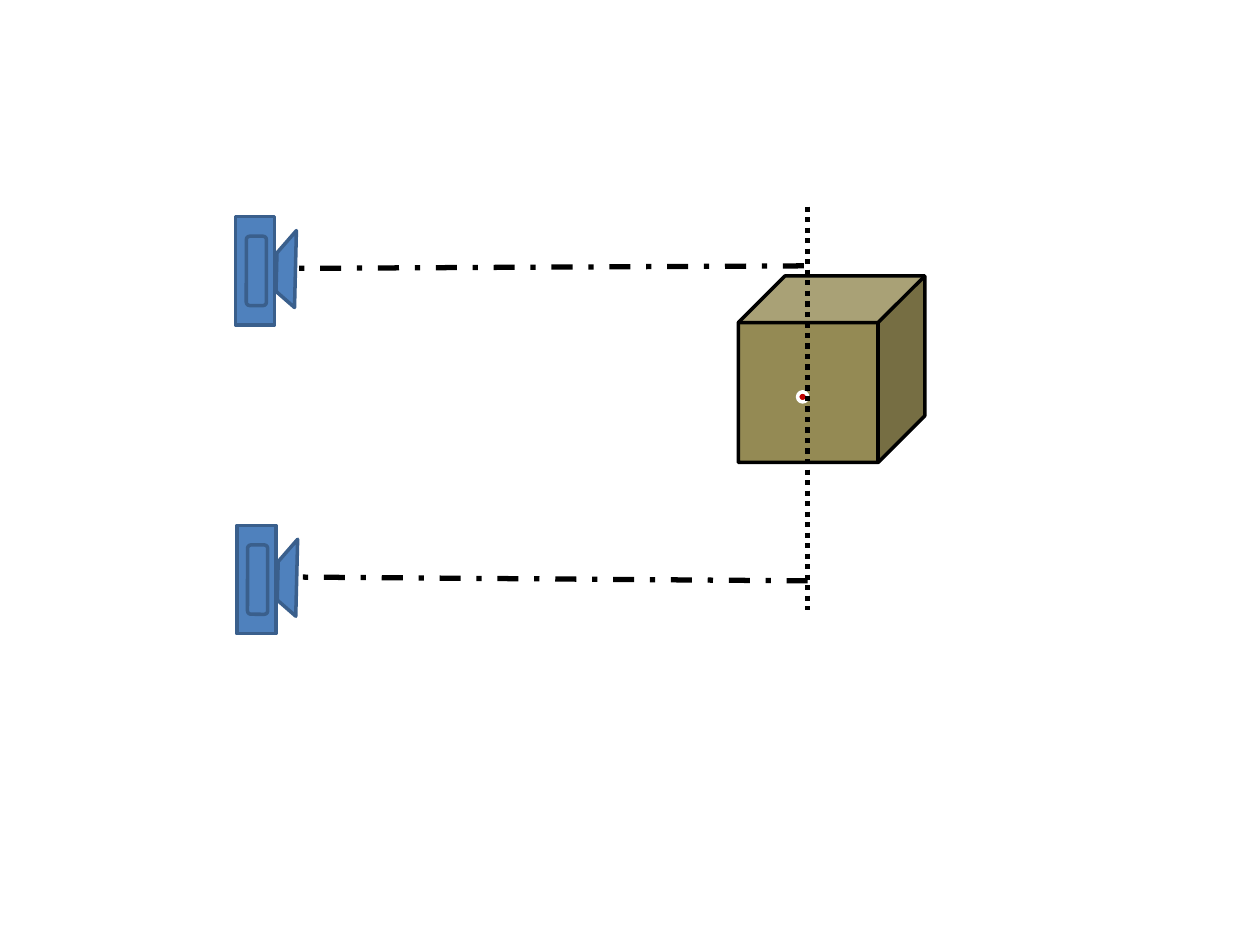
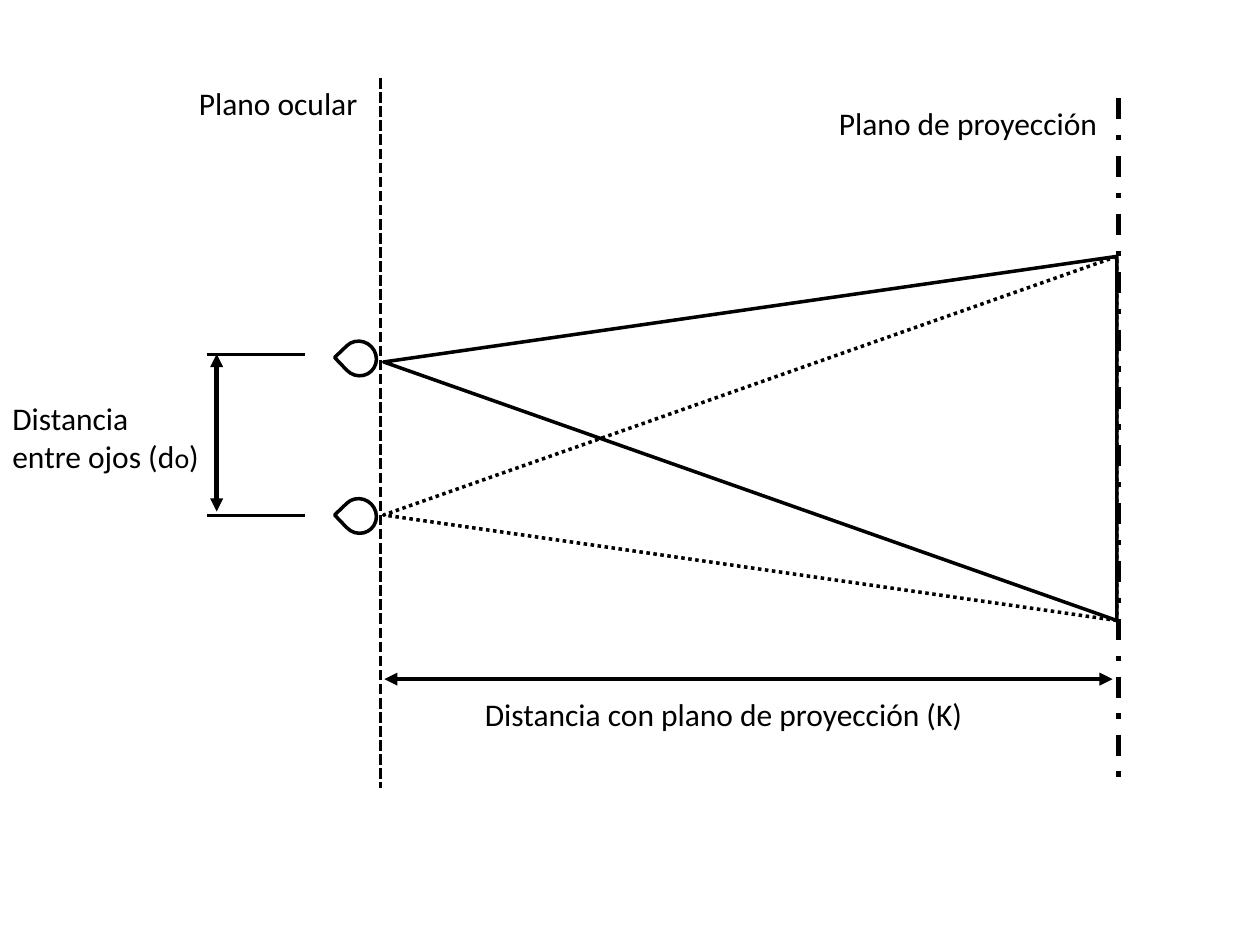
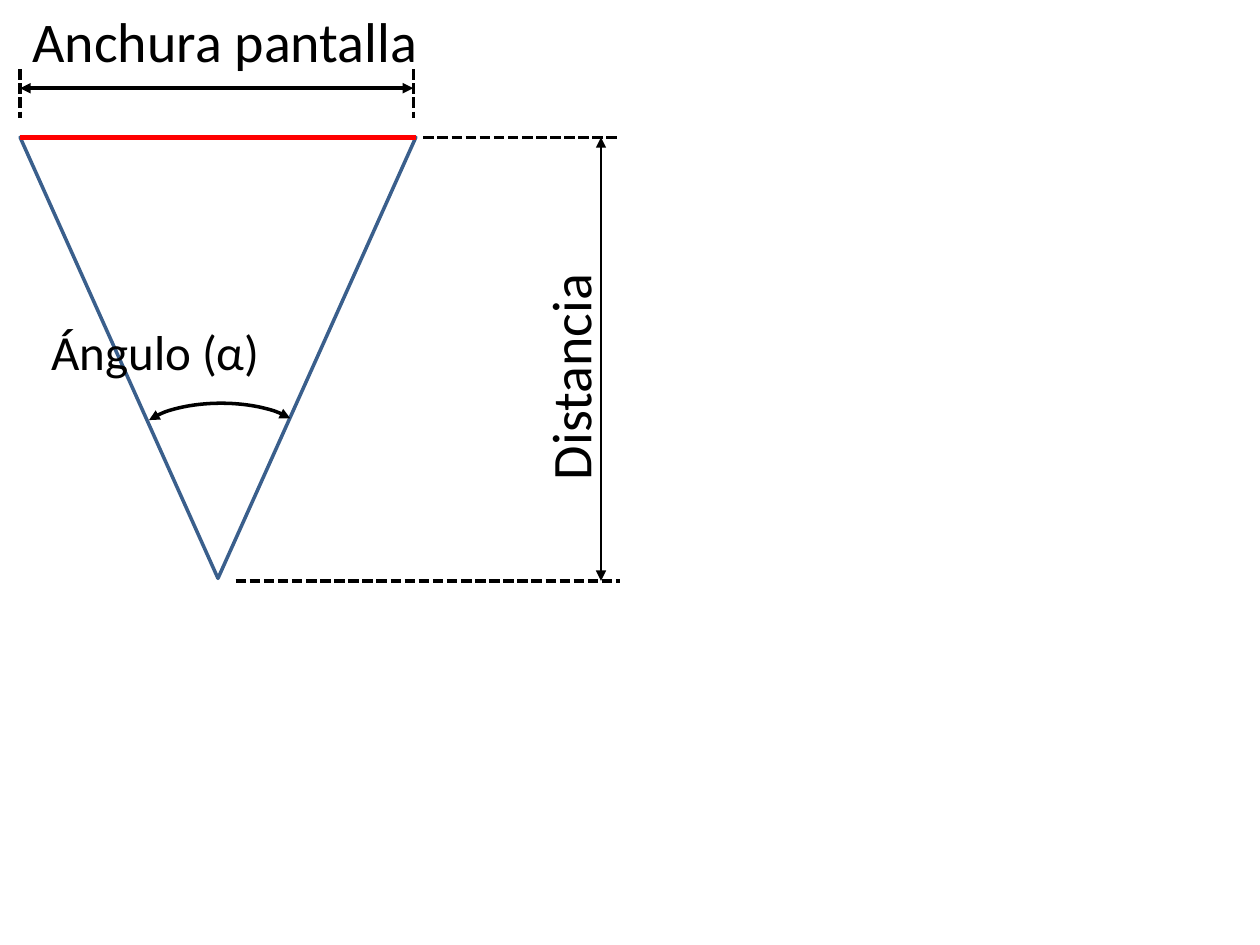
from pptx import Presentation
from pptx.dml.color import RGBColor
from pptx.enum.dml import MSO_LINE
from pptx.enum.shapes import MSO_CONNECTOR, MSO_SHAPE
from pptx.enum.text import MSO_AUTO_SIZE
from pptx.oxml.ns import qn
from pptx.util import Inches, Pt
from lxml.etree import SubElement

BLACK, WHITE, RED = "000000", "FFFFFF", "FF0000"
BLUE, NAVY, TAN, DARK = "4F81BD", "3A5F8C", "948A54", "C00000"
DOTS, DASH, MIX = MSO_LINE.ROUND_DOT, MSO_LINE.SQUARE_DOT, MSO_LINE.DASH_DOT


def paint(item, color=BLACK, width=2, dash=None, arrows=False, fill=None):
    item.line.color.rgb = RGBColor.from_string(color)
    item.line.width = Pt(width)
    if dash:
        item.line.dash_style = dash
    if arrows:
        for end in ("a:headEnd", "a:tailEnd"):
            SubElement(item.line._get_or_add_ln(), qn(end), type="triangle")
    if fill:
        item.fill.solid()
        item.fill.fore_color.rgb = RGBColor.from_string(fill)
    elif hasattr(item, "fill"):
        item.fill.background()
    SubElement(item._element.spPr, qn("a:effectLst"))


def form(slide, kind, x, y, w, h, turn=0, **look):
    item = slide.shapes.add_shape(kind, Inches(x), Inches(y), Inches(w), Inches(h))
    item.rotation = turn
    paint(item, **look)
    return item


deck = Presentation()
deck.slide_width, deck.slide_height = Inches(10), Inches(7.5)
scene, plan, angle = [deck.slides.add_slide(deck.slide_layouts[6]) for _ in range(3)]

# Slide 1: two cameras facing a cube
for x, y in ((1.87, 1.72), (1.88, 4.17)):
    for kind, dx, dy, w, h, turn in (
        (MSO_SHAPE.RECTANGLE, 0, 0, 0.31, 0.86, 0),
        (MSO_SHAPE.DIAGONAL_STRIPE, 0.24, 0.22, 0.47, 0.39, 311.1),
        (MSO_SHAPE.ROUNDED_RECTANGLE, -0.11, 0.35, 0.55, 0.16, 270),
    ):
        form(scene, kind, x + dx, y + dy, w, h, turn, color=NAVY, fill=BLUE)
form(scene, MSO_SHAPE.CUBE, 5.86, 2.19, 1.48, 1.48, fill=TAN)
form(scene, MSO_SHAPE.OVAL, 6.33, 3.11, 0.08, 0.08, color=WHITE, fill=DARK)

# Slide 2: view triangles and eyes
for skew, dash in ((0.71, None), (0.29, DOTS)):
    cone = form(plan, MSO_SHAPE.ISOSCELES_TRIANGLE, 4.51, 0.57, 2.89, 5.82, 270, dash=dash)
    cone.adjustments[0] = skew
for y in (2.71, 3.96):
    form(plan, MSO_SHAPE.TEAR, 2.71, y, 0.28, 0.27, 226.2, fill=WHITE)

# Slide 3: screen triangle and angle arc
form(angle, MSO_SHAPE.ISOSCELES_TRIANGLE, 0.16, 1.09, 3.14, 3.5, 180, color=NAVY)
arc = form(angle, MSO_SHAPE.ARC, 1.09, 3.2, 1.33, 0.55, arrows=True)
arc.adjustments[0], arc.adjustments[1] = 116.302, 206.527

# Lines: slide, start, end, colour, width, dash, arrows
for slide, x1, y1, x2, y2, color, width, dash, arrows in (
    (scene, 6.41, 4.61, 2.36, 4.58, BLACK, 3, MIX, False),
    (scene, 6.38, 2.11, 2.35, 2.13, BLACK, 3, MIX, False),
    (scene, 6.41, 1.64, 6.41, 4.84, BLACK, 3, DOTS, False),
    (plan, 8.88, 0.78, 8.88, 6.25, BLACK, 3, MIX, False),
    (plan, 3.02, 0.62, 3.02, 6.25, BLACK, 2, DASH, False),
    (plan, 2.42, 2.81, 1.64, 2.81, BLACK, 1.75, None, False),
    (plan, 2.42, 4.09, 1.64, 4.09, BLACK, 1.75, None, False),
    (plan, 1.72, 2.81, 1.72, 4.06, BLACK, 2.5, None, True),
    (plan, 8.83, 5.39, 3.05, 5.39, BLACK, 2.5, None, True),
    (angle, 0.16, 1.09, 3.3, 1.09, RED, 3, None, False),
    (angle, 3.36, 1.09, 4.92, 1.09, BLACK, 2, DASH, False),
    (angle, 1.87, 4.61, 4.92, 4.61, BLACK, 2, DASH, False),
    (angle, 4.77, 1.09, 4.77, 4.61, BLACK, 0.75, None, True),
    (angle, 0.16, 0.55, 0.16, 0.94, BLACK, 2, DASH, False),
    (angle, 3.28, 0.55, 3.28, 0.94, BLACK, 2, DASH, False),
    (angle, 0.16, 0.7, 3.28, 0.7, BLACK, 2, None, True),
):
    ends = [Inches(n) for n in (x1, y1, x2, y2)]
    rule = slide.shapes.add_connector(MSO_CONNECTOR.STRAIGHT, *ends)
    paint(rule, color, width, dash, arrows)

# Labels: each line is a list of runs, and an "o" run is set smaller
for slide, x, y, w, h, turn, size, lines in (
    (plan, 6.56, 0.78, 2.28, 0.4, 0, 18, [["Plano de proyección"]]),
    (plan, 1.48, 0.62, 1.47, 0.4, 0, 18, [["Plano ocular"]]),
    (plan, 0, 3.12, 1.7, 0.71, 0, 18, [["Distancia"], ["entre ojos (d", "o", ")"]]),
    (plan, 3.75, 5.47, 4.04, 0.4, 0, 18, [["Distancia con plano de proyección (K)"]]),
    (angle, 0.16, 0, 3.29, 0.64, 0, 32, [["Anchura pantalla"]]),
    (angle, 3.59, 2.66, 1.86, 0.64, 270, 32, [["Distancia"]]),
    (angle, 0.31, 2.5, 1.87, 0.57, 0, 28, [["Ángulo (α)"]]),
):
    box = slide.shapes.add_textbox(Inches(x), Inches(y), Inches(w), Inches(h))
    box.rotation = turn
    frame = box.text_frame
    frame.word_wrap = False
    frame.auto_size = MSO_AUTO_SIZE.SHAPE_TO_FIT_TEXT
    for i, runs in enumerate(lines):
        para = frame.add_paragraph() if i else frame.paragraphs[0]
        para.font.name = "Calibri"
        para.font.size = Pt(size)
        para.font.color.rgb = RGBColor.from_string(BLACK)
        for text in runs:
            run = para.add_run()
            run.text = text
            if text == "o":
                run.font.size = Pt(16)

deck.save("out.pptx")
